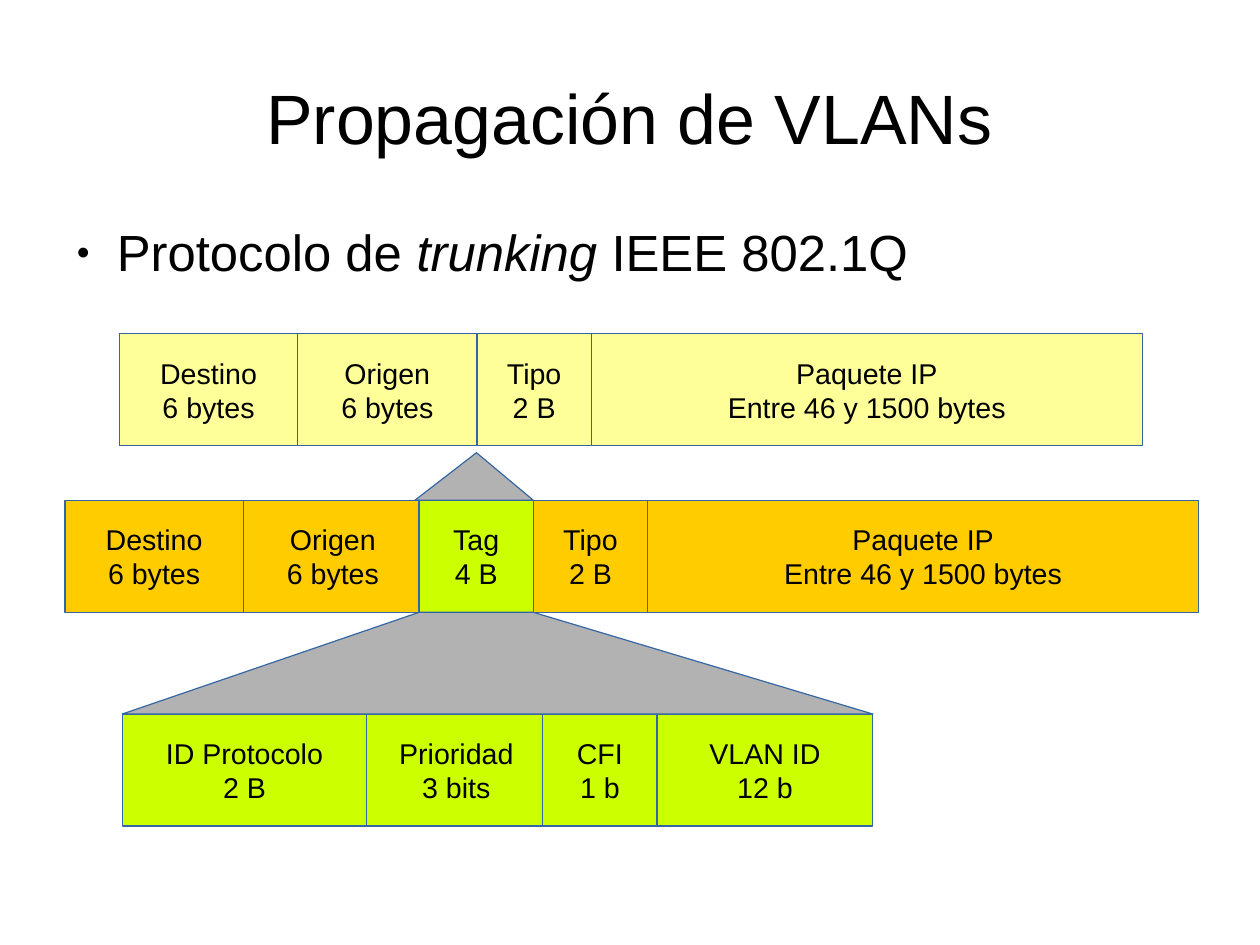
from lxml import etree
from pptx import Presentation
from pptx.dml.color import RGBColor
from pptx.enum import shapes, text
from pptx.oxml import ns
from pptx.util import Pt

COLORS = {
    "text": "000000",
    "line": "3465A4",
    "frame": "FFFF99",
    "tagged": "FFCC00",
    "tag": "CCFF00",
    "zoom": "B2B2B2",
}
FONT = "Arial"
CELL_HEIGHT = 70.5
ADDRESSES = [("Destino", "6 bytes", 112.2), ("Origen", "6 bytes", 113)]
PAYLOAD = [("Tipo", "2 B", 72), ("Paquete IP", "Entre 46 y 1500 bytes", 347)]


class Diagram:
    """Draws frame-format elements on one slide in a shared style."""

    def __init__(self, slide):
        self.slide = slide

    def font(self, p, size):
        for r in p.runs:
            r.font.name = FONT
            r.font.size = Pt(size)
            r.font.color.rgb = RGBColor.from_string(COLORS["text"])

    def no_margins(self, tf):
        tf.margin_left = tf.margin_right = tf.margin_top = tf.margin_bottom = 0
        tf.word_wrap = True

    def style(self, sp, color):
        sp.shadow.inherit = False
        sp.fill.solid()
        sp.fill.fore_color.rgb = RGBColor.from_string(COLORS[color])
        sp.line.color.rgb = RGBColor.from_string(COLORS["line"])
        sp.line.width = 0

    def title(self, words, left, top, width, height):
        sp = self.slide.shapes.title
        sp.left, sp.top, sp.width, sp.height = map(Pt, (left, top, width, height))
        tf = sp.text_frame
        tf.text = words
        self.no_margins(tf)
        tf.vertical_anchor = text.MSO_ANCHOR.MIDDLE
        tf.paragraphs[0].alignment = text.PP_ALIGN.CENTER
        self.font(tf.paragraphs[0], 44)

    def bullet(self, parts, left, top, width, height):
        sp = self.slide.shapes.add_textbox(*map(Pt, (left, top, width, height)))
        self.no_margins(sp.text_frame)
        p = sp.text_frame.paragraphs[0]
        for words, italic in parts:
            r = p.add_run()
            r.text = words
            r.font.italic = italic
        self.font(p, 32)
        p.space_before = Pt(14.2)
        props = p._p.get_or_add_pPr()
        props.set("marL", str(Pt(34)))
        props.set("indent", str(Pt(-25.5)))
        color = etree.SubElement(props, ns.qn("a:buClr"))
        etree.SubElement(color, ns.qn("a:srgbClr")).set("val", COLORS["text"])
        etree.SubElement(props, ns.qn("a:buSzPct")).set("val", "45000")
        etree.SubElement(props, ns.qn("a:buFont")).set("typeface", FONT)
        etree.SubElement(props, ns.qn("a:buChar")).set("char", "●")

    def row(self, left, top, color, cells):
        for name, size, width in cells:
            sp = self.slide.shapes.add_shape(
                shapes.MSO_SHAPE.RECTANGLE, Pt(left), Pt(top), Pt(width), Pt(CELL_HEIGHT))
            self.style(sp, color)
            tf = sp.text_frame
            tf.text = f"{name}\n{size}"
            tf.word_wrap = False
            tf.vertical_anchor = text.MSO_ANCHOR.MIDDLE
            for p in tf.paragraphs:
                p.alignment = text.PP_ALIGN.CENTER
                self.font(p, 18)
            left += width

    def triangle(self, left, top, width, height, apex):
        sp = self.slide.shapes.add_shape(
            shapes.MSO_SHAPE.ISOSCELES_TRIANGLE, *map(Pt, (left, top, width, height)))
        sp.adjustments[0] = apex
        self.style(sp, "zoom")

    def polygon(self, points):
        start, *rest = [(Pt(x), Pt(y)) for x, y in points]
        builder = self.slide.shapes.build_freeform(*start)
        builder.add_line_segments(rest, close=True)
        self.style(builder.convert_to_shape(), "zoom")


def main():
    prs = Presentation()
    prs.slide_width, prs.slide_height = Pt(793.7), Pt(595.28)
    diagram = Diagram(prs.slides.add_slide(prs.slide_layouts[5]))

    diagram.title("Propagación de VLANs", 39.6, 23.8, 714.2, 99.4)
    diagram.bullet([("Protocolo de ", False), ("trunking", True), (" IEEE 802.1Q", False)],
                   39.6, 139, 714.2, 345)

    diagram.row(75.3, 210.3, "frame", ADDRESSES + PAYLOAD)

    diagram.row(41, 315.2, "tagged", ADDRESSES)
    diagram.row(336, 315.2, "tagged", PAYLOAD)
    diagram.row(264, 315.2, "tag", [("Tag", "4 B", 72)])
    diagram.triangle(261.3, 285.2, 74.7, 30, 0.52)

    diagram.row(77, 449.8, "tag", [("ID Protocolo", "2 B", 154), ("Prioridad", "3 bits", 113)])
    diagram.row(413.9, 449.8, "tag", [("VLAN ID", "12 b", 136)])
    diagram.row(341.9, 449.8, "tag", [("CFI", "1 b", 72)])
    diagram.polygon([(77, 449.8), (264, 385.7), (336, 385.7), (549.9, 449.8)])

    prs.save("out.pptx")


if __name__ == "__main__":
    main()
